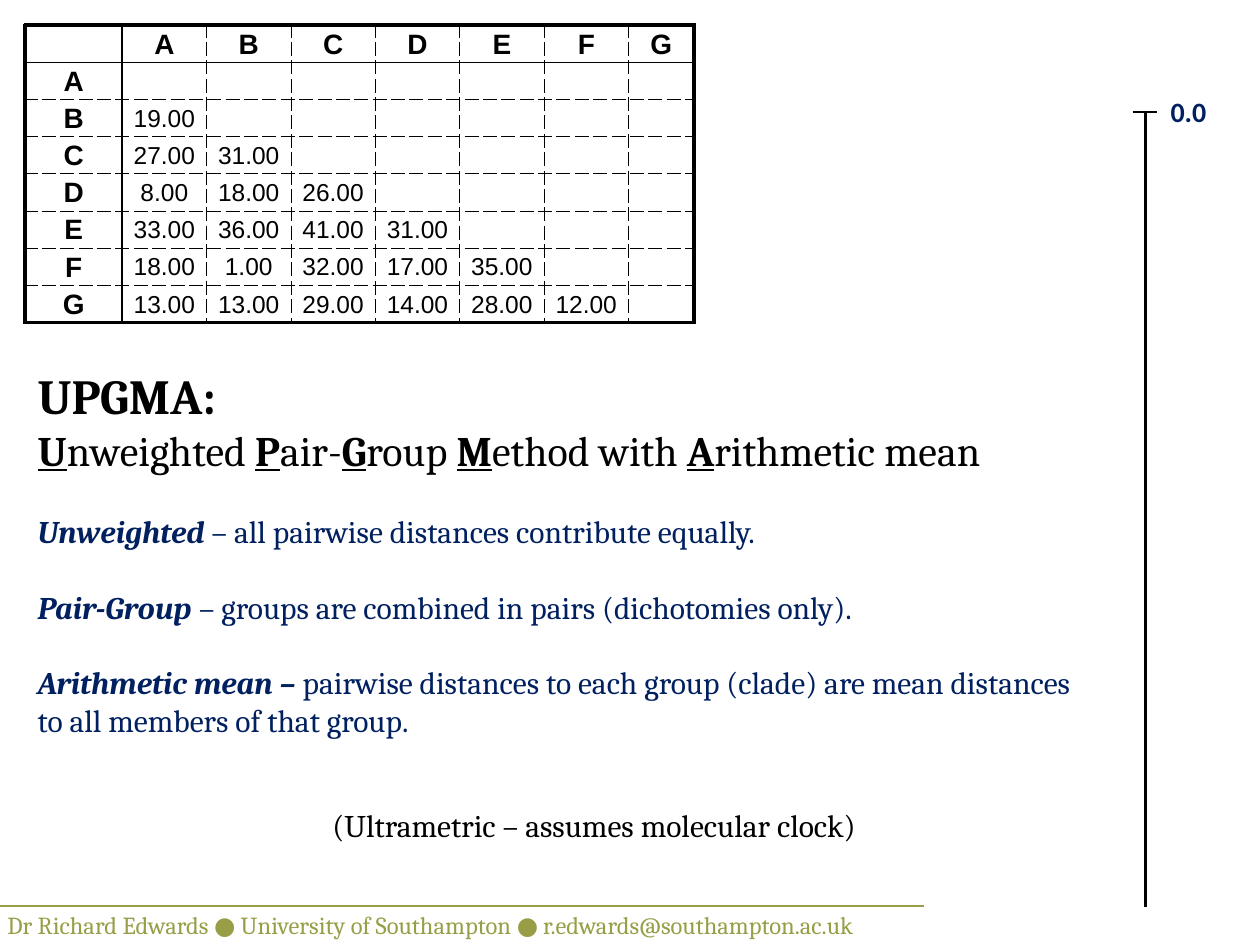
from lxml.etree import SubElement
from pptx import Presentation
from pptx.dml.color import RGBColor
from pptx.enum.shapes import MSO_CONNECTOR
from pptx.enum.text import MSO_ANCHOR, MSO_AUTO_SIZE, PP_ALIGN
from pptx.oxml import parse_xml
from pptx.oxml.ns import nsdecls, qn
from pptx.util import Inches, Pt

BLACK = RGBColor(0x00, 0x00, 0x00)
WHITE = RGBColor(0xFF, 0xFF, 0xFF)
NAVY = RGBColor(0x00, 0x20, 0x60)
OLIVE = RGBColor(0x97, 0x9E, 0x45)

TAXA = "ABCDEFG"
DATA = [
    [],
    ["19.00"],
    ["27.00", "31.00"],
    ["8.00", "18.00", "26.00"],
    ["33.00", "36.00", "41.00", "31.00"],
    ["18.00", "1.00", "32.00", "17.00", "35.00"],
    ["13.00", "13.00", "29.00", "14.00", "28.00", "12.00"],
]
WIDTHS = [0.77] + [0.67] * 6 + [0.52]
TITLE = [
    ("U", "nweighted "), ("P", "air-"), ("G", "roup "),
    ("M", "ethod with "), ("A", "rithmetic mean"),
]
TERMS = [
    ("Unweighted", " – all pairwise distances contribute equally."),
    ("Pair-Group ", "– groups are combined in pairs (dichotomies only)."),
    ("Arithmetic mean – ", "pairwise distances to each group (clade) are "
     "mean distances to all members of that group."),
]


def add_run(para, text, size, color, face="Cambria", bold=False,
            slant=False, under=False):
    run = para.add_run()
    run.text = text
    font = run.font
    font.size, font.name, font.bold = Pt(size), face, bold
    font.italic, font.underline = slant, under
    font.color.rgb = color


def add_box(shapes, left, top, width, height, wrap=True):
    box = shapes.add_textbox(
        Inches(left), Inches(top), Inches(width), Inches(height))
    frame = box.text_frame
    frame.word_wrap = wrap
    frame.auto_size = MSO_AUTO_SIZE.SHAPE_TO_FIT_TEXT
    return frame


def add_line(shapes, left, top, right, low, color, width):
    line = shapes.add_connector(
        MSO_CONNECTOR.STRAIGHT,
        Inches(left), Inches(top), Inches(right), Inches(low))
    line.line.color.rgb = color
    line.line.width = Pt(width)
    SubElement(line.element.spPr, qn("a:effectLst"))


def edge_width(edge, last):
    return 2.25 if edge in (0, last) else 1 if edge == 1 else 0.5


def set_edges(cell, row, col, rows, cols):
    edges = [("L", col, cols), ("R", col + 1, cols),
             ("T", row, rows), ("B", row + 1, rows)]
    props = cell._tc.get_or_add_tcPr()
    for place, (side, edge, last) in enumerate(edges):
        width = edge_width(edge, last)
        dash = "sysDash" if width == 0.5 else "solid"
        props.insert(place, parse_xml(
            f'<a:ln{side} {nsdecls("a")} w="{Pt(width)}">'
            f'<a:solidFill><a:srgbClr val="{BLACK}"/></a:solidFill>'
            f'<a:prstDash val="{dash}"/></a:ln{side}>'))


def fill_cell(cell, text, head):
    cell.fill.solid()
    cell.fill.fore_color.rgb = WHITE
    cell.vertical_anchor = MSO_ANCHOR.MIDDLE
    cell.margin_left = cell.margin_right = cell.margin_top = Inches(0.01)
    cell.margin_bottom = 0
    para = cell.text_frame.paragraphs[0]
    para.alignment = PP_ALIGN.CENTER
    if text:
        add_run(para, text, 16 if head else 14, BLACK, "Arial", head)
    else:
        SubElement(para._p, qn("a:endParaRPr"), sz="1400")


def add_matrix(slide, left, top, width, height):
    grid = [["", *TAXA]]
    for name, vals in zip(TAXA, DATA):
        grid.append([name, *vals] + [""] * (len(TAXA) - len(vals)))
    rows, cols = len(grid), len(WIDTHS)
    table = slide.shapes.add_table(
        rows, cols, Inches(left), Inches(top),
        Inches(width), Inches(height)).table
    table.first_row = table.horz_banding = False
    for col, size in zip(table.columns, WIDTHS):
        col.width = Inches(size)
    for row, line in enumerate(grid):
        table.rows[row].height = Inches(height / rows)
        for col, text in enumerate(line):
            cell = table.cell(row, col)
            fill_cell(cell, text, row == 0 or col == 0)
            set_edges(cell, row, col, rows, cols)


def add_scale(slide, left, top, width, height):
    shapes = slide.shapes.add_group_shape().shapes
    mid = left + 0.1
    add_line(shapes, mid, top, mid, top + height, BLACK, 1.5)
    add_line(shapes, left, top, left + 0.19, top, BLACK, 1.5)
    frame = add_box(shapes, left + 0.3, top - 0.14, width - 0.3, 0.27, False)
    frame.margin_left = frame.margin_right = 0
    frame.margin_top = frame.margin_bottom = 0
    add_run(frame.paragraphs[0], "0.0", 16, NAVY, "Calibri", True)


def add_notes(slide, left, top, width, height):
    frame = add_box(slide.shapes, left, top, width, height)
    para = frame.paragraphs[0]
    add_run(para, "UPGMA:", 28, BLACK, bold=True)
    para.add_line_break()
    for first, rest in TITLE:
        add_run(para, first, 24, BLACK, bold=True, under=True)
        add_run(para, rest, 24, BLACK)
    for term, text in TERMS:
        para = frame.add_paragraph()
        para.space_before = Pt(21.6)
        add_run(para, term, 18, NAVY, bold=True, slant=True)
        add_run(para, text, 18, NAVY)


def add_clock(slide, left, top, width, height):
    frame = add_box(slide.shapes, left, top, width, height, False)
    add_run(frame.paragraphs[0],
            "(Ultrametric – assumes molecular clock)", 18, BLACK)


def add_footer(slide, left, top, width, height):
    frame = add_box(slide.shapes, left, top, width, height)
    add_run(frame.paragraphs[0],
            "Dr Richard Edwards ● University of Southampton ● "
            "r.edwards@southampton.ac.uk", 14, OLIVE)
    add_line(slide.shapes, 0, top + 0.02, 7.33, top + 0.02, OLIVE, 0.75)


def main():
    deck = Presentation()
    deck.slide_width, deck.slide_height = Inches(10), Inches(7.5)
    slide = deck.slides.add_slide(deck.slide_layouts[6])
    add_matrix(slide, 0.2, 0.2, 5.29, 2.36)
    add_scale(slide, 8.99, 0.89, 0.59, 6.31)
    add_notes(slide, 0.2, 2.85, 8.48, 3.07)
    add_clock(slide, 2.54, 6.35, 4.69, 0.4)
    add_footer(slide, -0.04, 7.17, 10, 0.33)
    deck.save("out.pptx")


if __name__ == "__main__":
    main()
